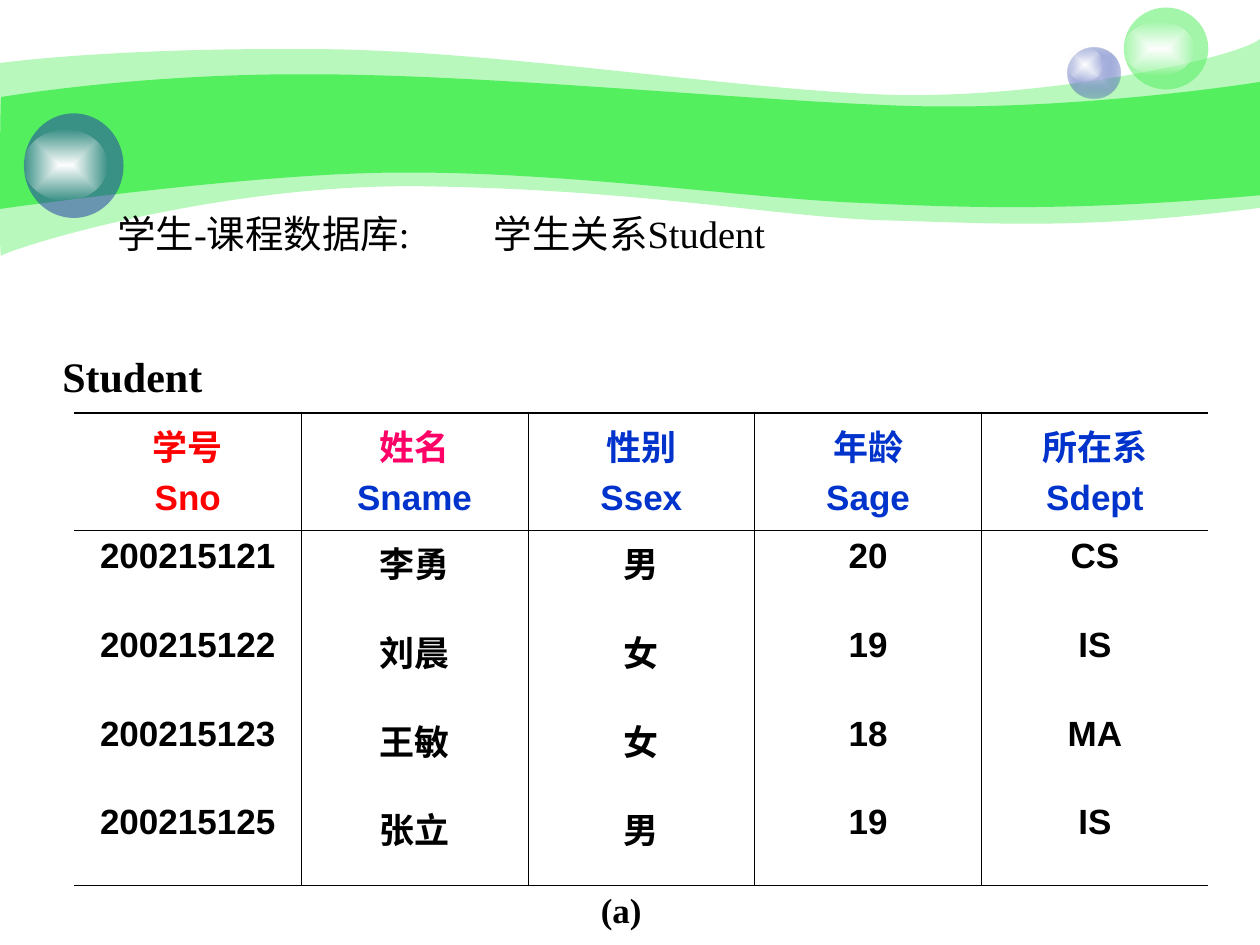
from lxml import etree
from pptx import Presentation
from pptx.dml.color import RGBColor
from pptx.enum.shapes import MSO_SHAPE
from pptx.enum.text import MSO_ANCHOR, PP_ALIGN
from pptx.oxml import parse_xml
from pptx.oxml.ns import nsdecls, qn
from pptx.util import Inches, Pt

OVAL = MSO_SHAPE.OVAL
TOP, MIDDLE = MSO_ANCHOR.TOP, MSO_ANCHOR.MIDDLE
LEFT, CENTER = PP_ALIGN.LEFT, PP_ALIGN.CENTER
GREEN, BLUE, WHITE, BLACK = "53EF5E", "233DA9", "FFFFFF", "000000"
RED, PINK, NAVY = "FF0000", "FF0066", "0033CC"
THICK, THIN = 1.08, 0.45
SERIF = {"name": "Times New Roman", "size": Pt(22), "bold": False}
CELL = {"name": "Arial", "size": Pt(20), "bold": True}
SHINE = [(0, WHITE, 100), (100, WHITE, 0)]
GLASS = [(0, "C7CEE9", 100), (100, BLUE, 31)]

# Each wave: start point, top curves, right-hand drop, bottom curves
OUTER = [[(0, 0.5)],
         [(0.24, 0.47), (1.07, 0.38), (2.47, 0.39)],
         [(3.86, 0.39), (5.75, 0.7), (6.99, 0.75)],
         [(8.22, 0.8), (9.8, 0.47), (10, 0.31)],
         [(10, 1.65)],
         [(8.58, 1.83), (7.87, 1.77), (7.05, 1.75)],
         [(6.22, 1.73), (5.15, 1.51), (3.43, 1.48)],
         [(1.72, 1.44), (0.04, 1.99), (0.01, 2.03)],
         [(-0.01, 2.08), (0, 0.75), (0, 0.5)]]
INNER = [[(0.01, 0.77)],
         [(0.02, 0.77), (1.1, 0.58), (2.48, 0.59)],
         [(3.86, 0.59), (5.95, 0.8), (7.18, 0.84)],
         [(8.41, 0.88), (9.76, 0.69), (10, 0.65)],
         [(10, 1.55)],
         [(8.53, 1.68), (7.65, 1.65), (6.82, 1.61)],
         [(5.99, 1.58), (4.47, 1.36), (3.17, 1.37)],
         [(2.03, 1.37), (-0.02, 1.66), (-0.01, 1.66)],
         [(0, 1.66), (0, 0.77), (0.01, 0.77)]]

HEADS = [("学号", "Sno", RED, RED), ("姓名", "Sname", PINK, NAVY),
         ("性别", "Ssex", NAVY, NAVY), ("年龄", "Sage", NAVY, NAVY),
         ("所在系", "Sdept", NAVY, NAVY)]
ROWS = [("200215121", "李勇", "男", "20", "CS"),
        ("200215122", "刘晨", "女", "19", "IS"),
        ("200215123", "王敏", "女", "18", "MA"),
        ("200215125", "张立", "男", "19", "IS")]


def rgb(code):
    return RGBColor.from_string(code)


def style(para, form, color=BLACK, align=CENTER):
    para.alignment = align
    for key, value in form.items():
        setattr(para.font, key, value)
    para.font.color.rgb = rgb(color)


def paint(shape, color, alpha=100):
    shape.shadow.inherit = False
    shape.line.fill.background()
    shape.fill.solid()
    shape.fill.fore_color.rgb = rgb(color)
    if alpha < 100:
        tint = shape.fill._xPr.find(qn("a:solidFill"))[0]
        etree.SubElement(tint, qn("a:alpha"), val=str(alpha * 1000))


def glow(shape, stops):
    """Fill a shape with a gradient that runs outward from its centre."""
    paint(shape, WHITE)
    marks = "".join(
        f'<a:gs pos="{pos * 1000}"><a:srgbClr val="{color}">'
        f'<a:alpha val="{alpha * 1000}"/></a:srgbClr></a:gs>'
        for pos, color, alpha in stops)
    props = shape.fill._xPr
    props.replace(props.find(qn("a:solidFill")), parse_xml(
        f'<a:gradFill {nsdecls("a")} rotWithShape="1"><a:gsLst>{marks}</a:gsLst>'
        '<a:path path="rect"><a:fillToRect l="50000" t="50000" r="50000"'
        ' b="50000"/></a:path></a:gradFill>'))


def add_wave(slide, outline, alpha=100):
    """Join the end points, then bend each side that has control points."""
    curves = [[(Inches(x), Inches(y)) for x, y in curve] for curve in outline]
    ends = [curve[-1] for curve in curves]
    pen = slide.shapes.build_freeform(*ends[0])
    pen.add_line_segments(ends[1:], close=True)
    wave = pen.convert_to_shape()
    sides = list(wave._element.iter(qn("a:lnTo")))
    for side, curve in zip(sides, curves[1:]):
        if len(curve) == 1:
            continue
        bend = etree.Element(qn("a:cubicBezTo"))
        for x, y in curve:
            etree.SubElement(bend, qn("a:pt"), x=str(x - wave.left),
                             y=str(y - wave.top))
        side.getparent().replace(side, bend)
    paint(wave, GREEN, alpha)


def add_ball(slide, left, top, size, shine, drop=0, color=None):
    """Draw a ball with a highlight at its left edge, drop below its top."""
    group = slide.shapes.add_group_shape()
    ball = group.shapes.add_shape(OVAL, Inches(left), Inches(top), *map(Inches, size))
    if color:
        paint(ball, color, 53)
    else:
        glow(ball, GLASS)
    spot = group.shapes.add_shape(
        OVAL, Inches(left), Inches(top + drop), *map(Inches, shine))
    glow(spot, SHINE)


def add_title(slide, left, top, width, height):
    title = slide.shapes.title
    slide.shapes._spTree.append(title._element)  # above the waves
    title.left, title.top = Inches(left), Inches(top)
    title.width, title.height = Inches(width), Inches(height)
    frame = title.text_frame
    frame.text = "学生-课程数据库:\t学生关系Student"
    frame.vertical_anchor = TOP
    para = frame.paragraphs[0]
    tabs = etree.SubElement(para._p.get_or_add_pPr(), qn("a:tabLst"))
    etree.SubElement(tabs, qn("a:tab"), pos=str(Inches(2.99)), algn="l")
    style(para, SERIF, align=LEFT)


def add_label(slide, text, box, size, anchor=TOP):
    frame = slide.shapes.add_textbox(*map(Inches, box)).text_frame
    frame.text = text
    frame.word_wrap = True
    frame.vertical_anchor = anchor
    style(frame.paragraphs[0], SERIF | {"size": Pt(size), "bold": True})


def set_edges(cell, widths):
    """Draw the cell's left, right, top and bottom edges; 0 means none."""
    cell.fill.background()
    props = cell._tc.get_or_add_tcPr()
    for index, (side, width) in enumerate(zip("LRTB", widths)):
        edge = etree.Element(qn(f"a:ln{side}"), w=str(Pt(width)))
        if width:
            fill = etree.SubElement(edge, qn("a:solidFill"))
            etree.SubElement(fill, qn("a:srgbClr"), val=BLACK)
        else:
            etree.SubElement(edge, qn("a:noFill"))
        props.insert(index, edge)


def add_grid(slide, left, top, width, height, head):
    count, last = len(HEADS), len(ROWS)
    step = (height - head) / last
    table = slide.shapes.add_table(
        last + 1, count, *map(Inches, (left, top, width, height))).table
    table.first_row = table.horz_banding = False
    for row in range(last + 1):
        table.rows[row].height = Inches(step if row else head)
        above = (THICK, THIN)[row] if row < 2 else 0
        below = THIN if row == 0 else THICK if row == last else 0
        for col in range(count):
            cell = table.cell(row, col)
            set_edges(cell, (THIN if col else 0, THIN if col < count - 1 else 0,
                             above, below))
            if row:
                cell.text = ROWS[row - 1][col]
                style(cell.text_frame.paragraphs[0], CELL)
                continue
            name, field, *colors = HEADS[col]
            cell.text = f"{name}\n{field}"
            for para, color in zip(cell.text_frame.paragraphs, colors):
                style(para, CELL, color)
            para.space_before = Pt(5)


def main():
    prs = Presentation()
    prs.slide_width, prs.slide_height = Inches(10), Inches(7.5)
    slide = prs.slides.add_slide(prs.slide_layouts[5])
    # Banner
    add_wave(slide, OUTER, 41)
    add_wave(slide, INNER)
    add_ball(slide, 8.47, 0.38, (0.42, 0.4), (0.28, 0.27))
    add_ball(slide, 8.92, 0.06, (0.67, 0.65), (0.56, 0.43), 0.11, GREEN)
    add_ball(slide, 0.19, 0.9, (0.79, 0.83), (0.66, 0.56), 0.13, BLUE)
    # Text and table
    add_label(slide, "(a)", (1.14, 7, 7.58, 0.44), 20)
    add_label(slide, "Student", (0.35, 2.65, 1.4, 0.67), 24, MIDDLE)
    add_title(slide, 0.83, 1.62, 8.19, 0.47)
    add_grid(slide, 0.59, 3.28, 9, 3.75, 0.93)
    prs.save("out.pptx")


if __name__ == "__main__":
    main()
